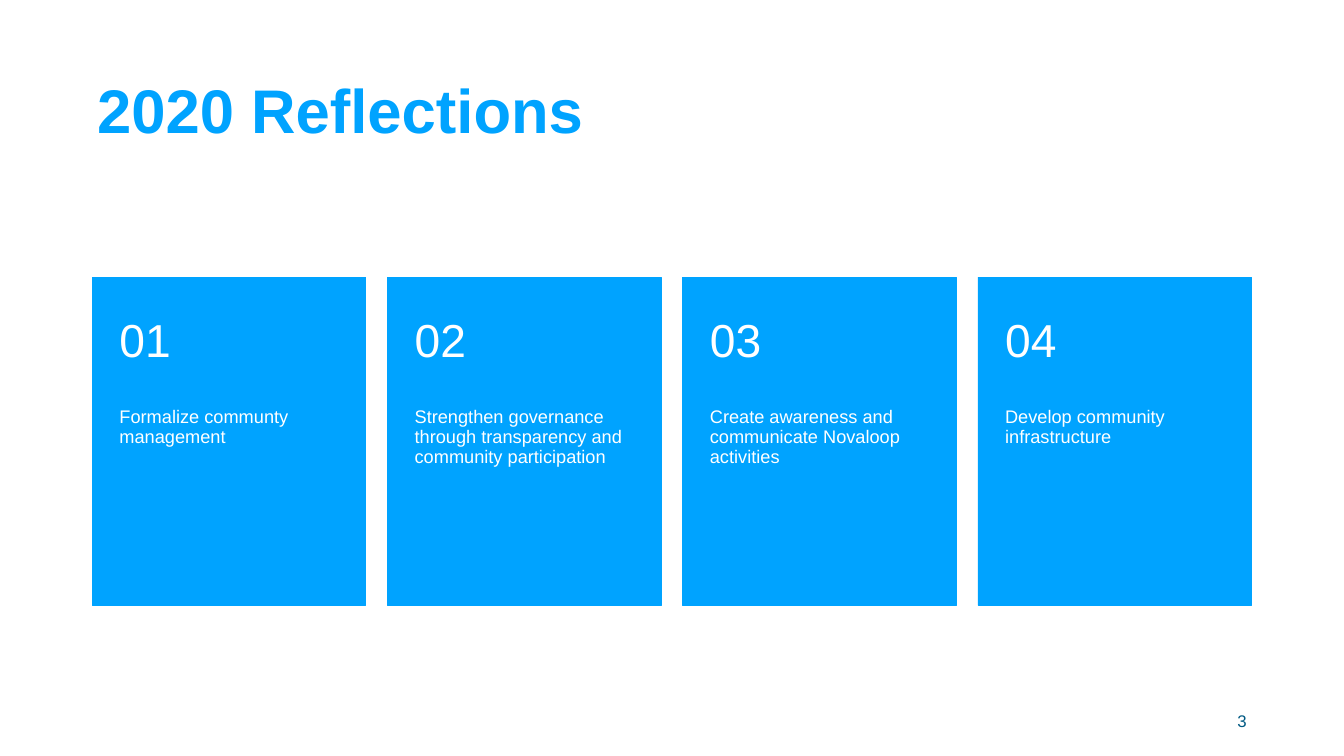
from dataclasses import dataclass

from pptx import Presentation
from pptx.dml.color import RGBColor
from pptx.enum import shapes, text
from pptx.util import Cm, Pt


@dataclass(frozen=True)
class Theme:
    font: str = "Arial"
    blue: RGBColor = RGBColor(0x00, 0xA3, 0xFF)
    dark_blue: RGBColor = RGBColor(0x00, 0x5A, 0x83)
    white: RGBColor = RGBColor(0xFF, 0xFF, 0xFF)
    title_size: int = 88
    number_size: int = 66
    body_size: int = 26
    footer_size: int = 24


GOALS = [
    "Formalize communty management",
    "Strengthen governance through transparency and community participation",
    "Create awareness and communicate Novaloop activities",
    "Develop community infrastructure",
]
MARGIN = 4.65
CARD_TOP, CARD_WIDTH, CARD_HEIGHT = 13.97, 13.79, 16.54
CARD_PITCH = 14.88
NUMBER_HEIGHT = 6.6


class SlideBuilder:
    def __init__(self, page, theme):
        self.page = page
        self.theme = theme

    def text(self, parent, frame, words, size, color, *, bold=False,
             align=text.PP_ALIGN.LEFT, anchor=text.MSO_ANCHOR.MIDDLE,
             insets=(0.25, 0.13, 0.25, 0.13), spacing=0.9):
        """Add a text box; frame is left, top, width, height in cm."""
        box = parent.add_textbox(*map(Cm, frame))
        body = box.text_frame
        body.word_wrap = True
        body.vertical_anchor = anchor
        body.margin_left, body.margin_top, body.margin_right, body.margin_bottom = map(Cm, insets)
        para = body.paragraphs[0]
        para.text = words
        para.alignment = align
        para.line_spacing = spacing
        para.font.name = self.theme.font
        para.font.size = Pt(size)
        para.font.bold = bold
        para.font.color.rgb = color

    def panel(self, parent, frame, color):
        panel = parent.add_shape(shapes.MSO_SHAPE.RECTANGLE, *map(Cm, frame))
        panel.shadow.inherit = False
        panel.fill.solid()
        panel.fill.fore_color.rgb = color
        panel.line.color.rgb = color
        panel.line.width = Pt(1)

    def card(self, left, number, goal):
        """Add a grouped panel with its number above its goal."""
        theme = self.theme
        group = self.page.shapes.add_group_shape().shapes
        self.panel(group, (left, CARD_TOP, CARD_WIDTH, CARD_HEIGHT), theme.blue)
        self.text(group,
                  (left, CARD_TOP + NUMBER_HEIGHT, CARD_WIDTH, CARD_HEIGHT - NUMBER_HEIGHT),
                  goal, theme.body_size, theme.white,
                  anchor=text.MSO_ANCHOR.TOP, insets=(1.37, 0, 1.37, 0.91))
        self.text(group, (left, CARD_TOP, CARD_WIDTH, NUMBER_HEIGHT),
                  f"{number:02d}", theme.number_size, theme.white,
                  insets=(1.37, 0.46, 1.37, 0.46))


def main():
    deck = Presentation()
    deck.slide_width, deck.slide_height = Cm(67.74), Cm(38.1)
    page = deck.slides.add_slide(deck.slide_layouts[6])
    theme = Theme()
    builder = SlideBuilder(page, theme)

    builder.text(page.shapes, (MARGIN, 2.03, 58.42, 7.37), "2020 Reflections",
                 theme.title_size, theme.blue, bold=True)
    builder.text(page.shapes, (47.85, 35.31, 15.24, 2.03), "3",
                 theme.footer_size, theme.dark_blue,
                 align=text.PP_ALIGN.RIGHT, spacing=1.0)
    for index, goal in enumerate(GOALS):
        builder.card(MARGIN + index * CARD_PITCH, index + 1, goal)

    deck.save("out.pptx")


if __name__ == "__main__":
    main()
